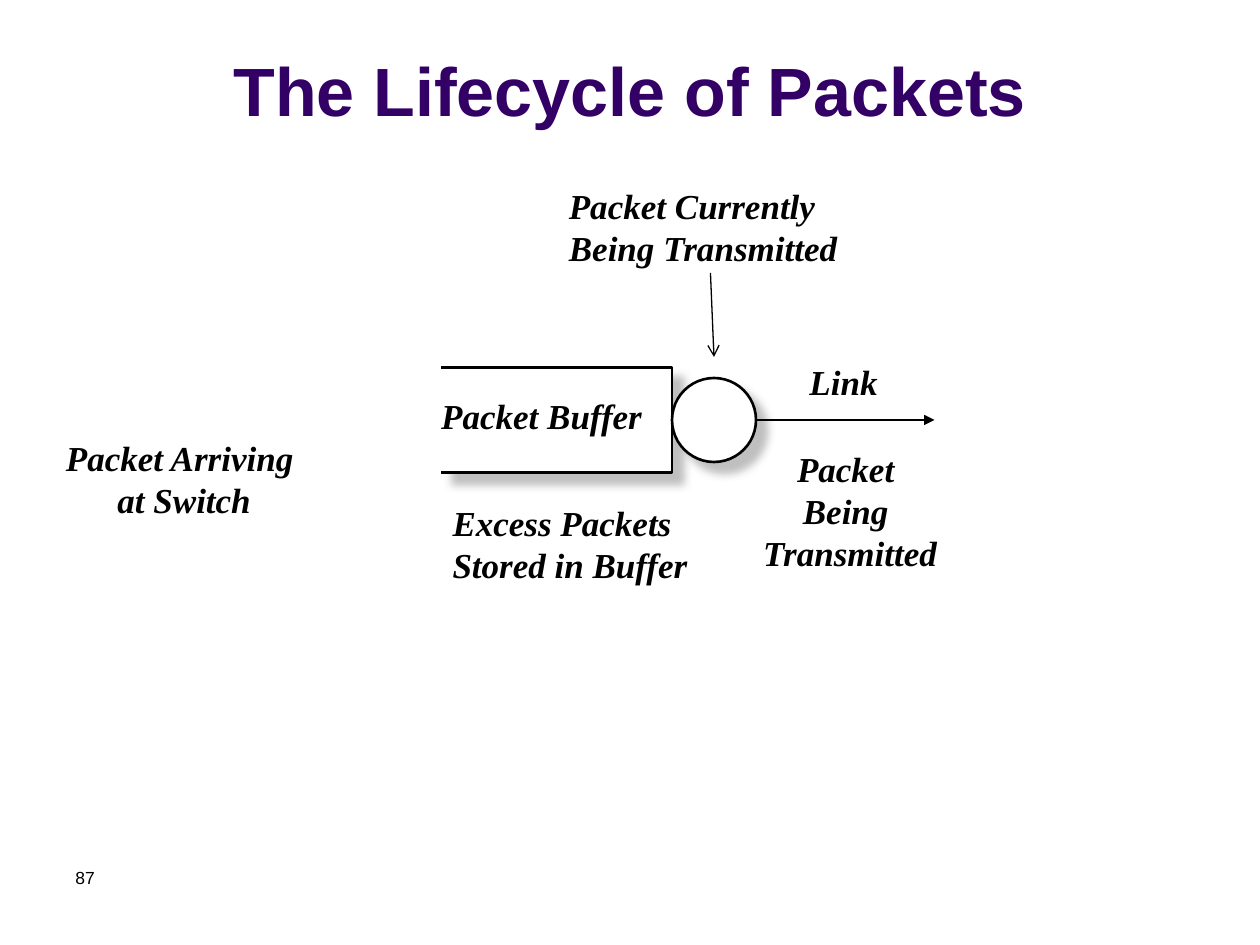
from lxml.etree import SubElement
from pptx import Presentation
from pptx.dml.color import RGBColor
from pptx.enum.shapes import MSO_CONNECTOR, MSO_SHAPE
from pptx.enum.text import MSO_ANCHOR, PP_ALIGN
from pptx.oxml.ns import qn
from pptx.util import Pt

BLACK = RGBColor(0x00, 0x00, 0x00)
WHITE = RGBColor(0xFF, 0xFF, 0xFF)
PURPLE = RGBColor(0x33, 0x00, 0x66)
GRAY = RGBColor(0x80, 0x80, 0x80)


def add_text(page, text, box, size=20, font="Times New Roman", color=BLACK, bold=True,
             italic=True, align=PP_ALIGN.LEFT, anchor=MSO_ANCHOR.TOP, wrap=False):
    """Place text in a box, one paragraph for each line."""
    frame = page.shapes.add_textbox(*map(Pt, box)).text_frame
    frame.word_wrap = wrap
    frame.vertical_anchor = anchor
    for index, line in enumerate(text.split("\n")):
        para = frame.add_paragraph() if index else frame.paragraphs[0]
        para.alignment = align
        span = para.add_run()
        span.text = line
        span.font.name = font
        span.font.size = Pt(size)
        span.font.bold = bold
        span.font.italic = italic
        span.font.color.rgb = color


def style_node(shape):
    """Give a shape a white fill, a black outline and a soft shadow."""
    shape.fill.solid()
    shape.fill.fore_color.rgb = WHITE
    shape.line.color.rgb = BLACK
    shape.line.width = Pt(1.5)
    shape.shadow.inherit = False
    effects = shape._element.spPr.find(qn("a:effectLst"))
    shadow = SubElement(effects, qn("a:outerShdw"), blurRad=str(Pt(5)),
                        dist=str(Pt(8.5)), dir="2700000", algn="tl", rotWithShape="0")
    color = SubElement(shadow, qn("a:srgbClr"), val=str(GRAY))
    SubElement(color, qn("a:alpha"), val="50000")


def add_arrow(page, start, end, head):
    """Draw a thin black line with an arrowhead at its end."""
    arrow = page.shapes.add_connector(MSO_CONNECTOR.STRAIGHT, *map(Pt, start + end))
    arrow.line.color.rgb = BLACK
    arrow.line.width = Pt(0.75)
    SubElement(arrow.line._get_or_add_ln(), qn("a:tailEnd"), type=head)
    SubElement(arrow._element.spPr, qn("a:effectLst"))


def add_queue(page, left, top, width, height, server):
    """Draw a buffer open on the left, with a round server touching its right side."""
    right, bottom = left + width, top + height
    builder = page.shapes.build_freeform(Pt(left), Pt(top))
    corners = [(right, top), (right, bottom), (left, bottom)]
    builder.add_line_segments([(Pt(x), Pt(y)) for x, y in corners], close=False)
    style_node(builder.convert_to_shape())
    circle = page.shapes.add_shape(MSO_SHAPE.OVAL, Pt(right), Pt(top + (height - server) / 2),
                                   Pt(server), Pt(server))
    style_node(circle)


def add_diagram(page, left, top, width, height):
    """Draw the queue, its outgoing link and the captions around them."""
    server = 48
    middle = top + height / 2
    link_start = left + width + server
    server_center = link_start - server / 2
    add_queue(page, left, top, width, height, server)
    add_arrow(page, (link_start, middle), (link_start + 102, middle), "triangle")
    add_arrow(page, (server_center - 2, top - 54), (server_center, top - 6), "arrow")
    captions = [
        ("Excess Packets\nStored in Buffer", (-0.5, 73, 157, 55.5), PP_ALIGN.LEFT),
        ("Packet Arriving \nat Switch", (-223, 36, 152.5, 55.5), PP_ALIGN.CENTER),
        ("Packet\nBeing\n Transmitted", (168, 42, 126.5, 80), PP_ALIGN.CENTER),
        ("Packet Buffer", (-7, 12, 137, 31.5), PP_ALIGN.LEFT),
        ("Link", (203.5, -7.5, 60.5, 31.5), PP_ALIGN.LEFT),
        ("Packet Currently\nBeing Transmitted", (66, -108, 175.5, 55.5), PP_ALIGN.LEFT),
    ]
    for text, (across, down, *size), align in captions:
        add_text(page, text, (left + across, top + down, *size), align=align)


def main():
    """Build the slide and save it."""
    deck = Presentation()
    deck.slide_width, deck.slide_height = Pt(720), Pt(540)
    page = deck.slides.add_slide(deck.slide_layouts[6])
    add_text(page, "The Lifecycle of Packets", (0, 9.5, 720, 68.5), size=39, font="Arial",
             color=PURPLE, italic=False, align=PP_ALIGN.CENTER, anchor=MSO_ANCHOR.BOTTOM,
             wrap=True)
    add_diagram(page, 252, 210, 132, 60)
    add_text(page, "87", (36, 492, 168, 36), size=10, font="Arial", bold=False,
             italic=False, wrap=True)
    deck.save("out.pptx")


if __name__ == "__main__":
    main()
